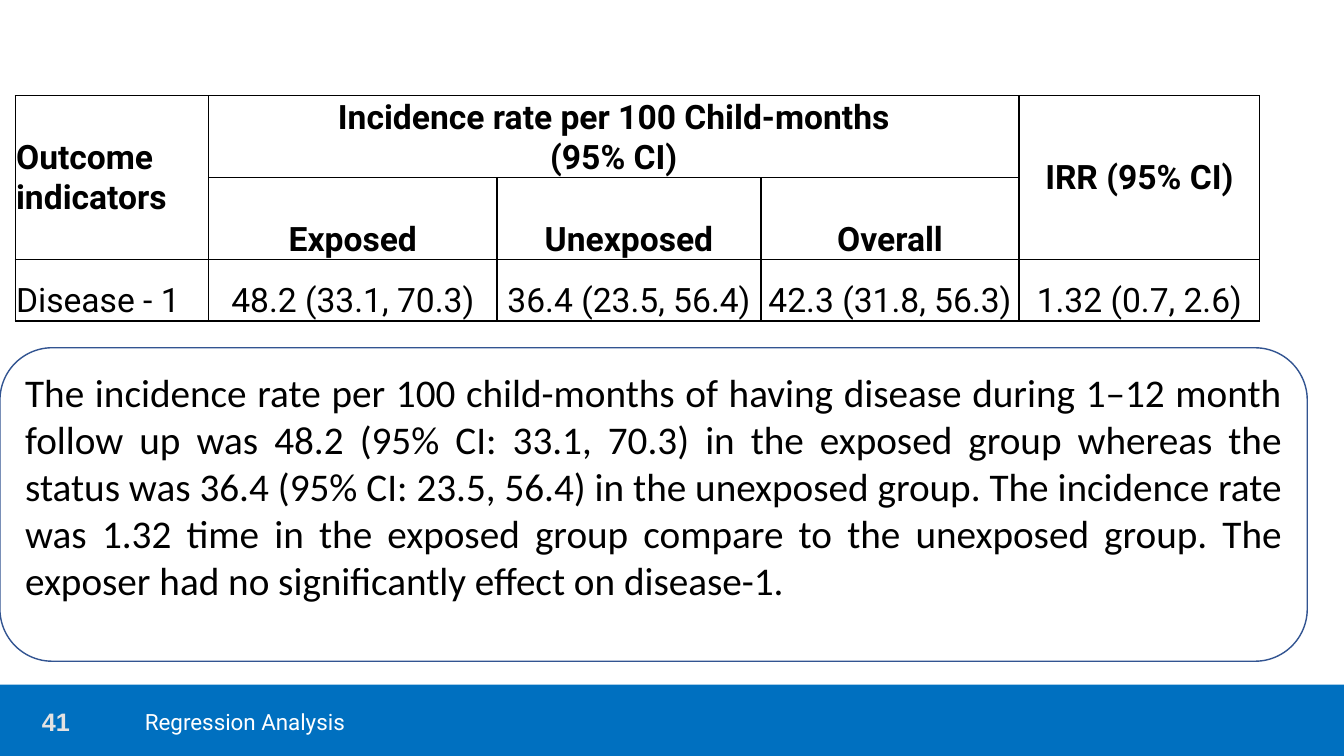
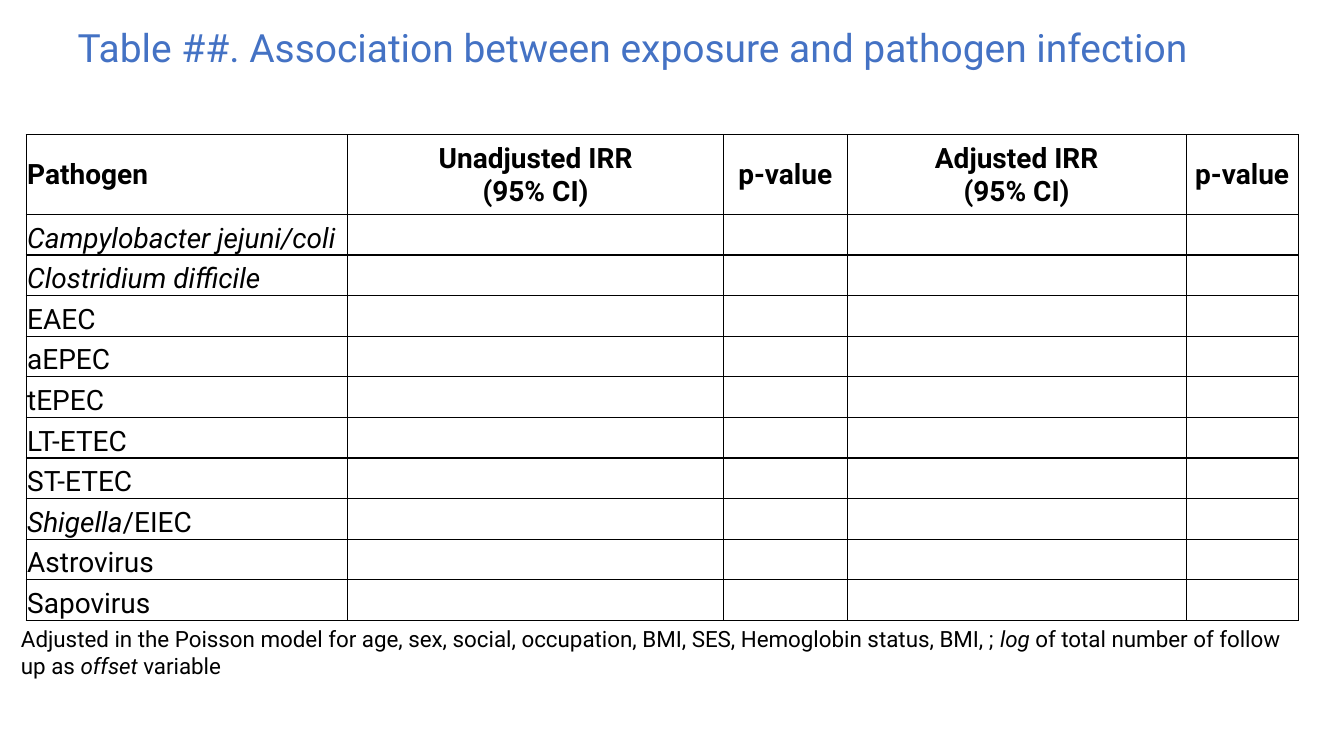
from lxml.etree import SubElement
from pptx import Presentation
from pptx.dml.color import RGBColor
from pptx.enum.shapes import MSO_SHAPE
from pptx.enum.text import MSO_ANCHOR, PP_ALIGN
from pptx.oxml import parse_xml
from pptx.oxml.ns import nsdecls, qn
from pptx.util import Pt

BLACK = RGBColor(0, 0, 0)
WHITE = RGBColor(0xFF, 0xFF, 0xFF)
BAND_BLUE = RGBColor(0x00, 0x70, 0xC0)
TITLE_BLUE = RGBColor(0x44, 0x72, 0xC4)
OUTLINE_BLUE = RGBColor(0x32, 0x54, 0x91)
PALE_GREY = RGBColor(0xE2, 0xE2, 0xE2)

FONT = "Roboto"
SLIDE_W, SLIDE_H = 960, 540
BAND_H = 51

INCIDENCE_ROWS = [
    ["Outcome indicators", "Incidence rate per 100 Child-months\n(95% CI)",
     "", "", "IRR (95% CI)"],
    ["", "Exposed", "Unexposed", "Overall", ""],
    ["Disease - 1", "48.2 (33.1, 70.3)", "36.4 (23.5, 56.4)",
     "42.3 (31.8, 56.3)", "1.32 (0.7, 2.6)"],
]
INCIDENCE_NOTE = (
    "The incidence rate per 100 child-months of having disease during 1–12 "
    "month follow up was 48.2 (95% CI: 33.1, 70.3) in the exposed group "
    "whereas the status was 36.4 (95% CI: 23.5, 56.4) in the unexposed group. "
    "The incidence rate was 1.32 time in the exposed group compare to the "
    "unexposed group. The exposer had no significantly effect on disease-1."
)
PATHOGEN_HEADER = ["Pathogen", "Unadjusted IRR\n(95% CI)", "p-value",
                   "Adjusted IRR\n(95% CI)", "p-value"]
PATHOGENS = ["Campylobacter jejuni/coli", "Clostridium difficile", "EAEC",
             "aEPEC", "tEPEC", "LT-ETEC", "ST-ETEC", "Shigella/EIEC",
             "Astrovirus", "Sapovirus"]
ADJUSTMENT_RUNS = [
    ("Adjusted in the Poisson model for age, sex, social, occupation, BMI, "
     "SES, Hemoglobin status, BMI, ; ", False),
    ("log", True),
    (" of total number of follow up as ", False),
    ("offset ", True),
    ("variable", False),
]


def format_text(tf, size, color=BLACK, bold=False, align=PP_ALIGN.LEFT,
                font=FONT, spacing=None):
    for p in tf.paragraphs:
        p.alignment = align
        if spacing:
            p.line_spacing = spacing
        for r in p.runs:
            r.font.name = font
            r.font.size = Pt(size)
            r.font.bold = bold
            r.font.color.rgb = color


def set_runs(tf, runs):
    p = tf.paragraphs[0]
    p.text = ""
    for text, italic in runs:
        r = p.add_run()
        r.text = text
        r.font.italic = italic


def add_text(slide, box, runs, size, color=BLACK, bold=False, inset=True,
             anchor=MSO_ANCHOR.TOP):
    tf = slide.shapes.add_textbox(*map(Pt, box)).text_frame
    tf.word_wrap = True
    tf.vertical_anchor = anchor
    if not inset:
        tf.margin_left = tf.margin_right = 0
        tf.margin_top = tf.margin_bottom = 0
    set_runs(tf, runs)
    format_text(tf, size, color, bold)


def add_footer(slide, box, number, label):
    x, y, w, h = box
    band = slide.shapes.add_shape(MSO_SHAPE.RECTANGLE, *map(Pt, box))
    band.shadow.inherit = False
    band.fill.solid()
    band.fill.fore_color.rgb = BAND_BLUE
    band.line.fill.background()
    for left, width, text, size, color, bold, font in (
            (30, 73, number, 18, PALE_GREY, True, "Arial"),
            (103.5, 619, label, 16, WHITE, False, FONT)):
        sp = slide.shapes.add_textbox(Pt(x + left), Pt(y + 13.5), Pt(width), Pt(25.5))
        tf = sp.text_frame
        tf.word_wrap = True
        tf.vertical_anchor = MSO_ANCHOR.MIDDLE
        tf.margin_left = tf.margin_right = tf.margin_top = tf.margin_bottom = 0
        tf.text = text
        format_text(tf, size, color, bold, font=font)


def style_cell(cell):
    cell.fill.background()
    cell.margin_left = cell.margin_right = cell.margin_top = Pt(0.7)
    cell.margin_bottom = 0
    tcPr = cell._tc.get_or_add_tcPr()
    for i, side in enumerate(("lnL", "lnR", "lnT", "lnB")):
        ln = parse_xml(f'<a:{side} {nsdecls("a")} w="{Pt(1)}"/>')
        fill = SubElement(ln, qn("a:solidFill"))
        SubElement(fill, qn("a:srgbClr"), val=str(BLACK))
        tcPr.insert(i, ln)


def add_grid(slide, box, rows, col_widths, row_heights, size, header_rows,
             spacing=None):
    table = slide.shapes.add_table(len(rows), len(col_widths),
                                   *map(Pt, box)).table
    table.first_row = table.horz_banding = False
    for col, width in zip(table.columns, col_widths):
        col.width = Pt(width)
    for i, (row, height) in enumerate(zip(table.rows, row_heights)):
        row.height = Pt(height)
        is_header = i < header_rows
        for j, cell in enumerate(row.cells):
            style_cell(cell)
            cell.vertical_anchor = MSO_ANCHOR.MIDDLE if is_header else MSO_ANCHOR.BOTTOM
            if rows[i][j]:
                cell.text_frame.text = rows[i][j]
                format_text(cell.text_frame, size, bold=is_header,
                            align=PP_ALIGN.CENTER if j else PP_ALIGN.LEFT,
                            spacing=None if is_header else spacing)
    return table


def add_note_box(slide, box, text):
    sp = slide.shapes.add_shape(MSO_SHAPE.ROUNDED_RECTANGLE, *map(Pt, box))
    sp.shadow.inherit = False
    sp.fill.background()
    sp.line.color.rgb = OUTLINE_BLUE
    sp.line.width = Pt(1)
    tf = sp.text_frame
    tf.word_wrap = True
    tf.vertical_anchor = MSO_ANCHOR.TOP
    tf.text = text
    format_text(tf, 28, align=PP_ALIGN.JUSTIFY, font="Calibri")


def set_title(slide, box, text):
    sp = slide.shapes.title
    sp.left, sp.top, sp.width, sp.height = map(Pt, box)
    tf = sp.text_frame
    tf.text = text
    tf.word_wrap = True
    tf.vertical_anchor = MSO_ANCHOR.TOP
    format_text(tf, 27.8, TITLE_BLUE, spacing=0.9)


def build_incidence_slide(prs):
    slide = prs.slides.add_slide(prs.slide_layouts[6])
    add_footer(slide, (0, SLIDE_H - BAND_H, SLIDE_W, BAND_H), "41",
               "Regression Analysis")
    table = add_grid(slide, (10.8, 68.4, 889, 160.8), INCIDENCE_ROWS,
                     (138.2, 206, 188.6, 184.3, 172), (58.5, 58.5, 43.8),
                     24, 2, 1.5)
    for j in range(1, 4):
        for i in range(2):
            table.cell(i, j).vertical_anchor = MSO_ANCHOR.BOTTOM
    for first, last in (((0, 0), (1, 0)), ((0, 1), (0, 3)), ((0, 4), (1, 4))):
        table.cell(*first).merge(table.cell(*last))
    add_note_box(slide, (0, 248.4, 933.8, 223.9), INCIDENCE_NOTE)


def build_pathogen_slide(prs):
    slide = prs.slides.add_slide(prs.slide_layouts[5])
    set_title(slide, (48.2, 17.3, 836.6, 45.4),
              "Table ##. Association between exposure and pathogen infection")
    rows = [PATHOGEN_HEADER] + [[name, "", "", "", ""] for name in PATHOGENS]
    table = add_grid(slide, (18.7, 96.2, 908.6, 347), rows,
                     (229.7, 268.4, 88.3, 242.2, 80),
                     [57] + [29] * len(PATHOGENS), 20, 1)
    for i in (1, 2):
        table.cell(i, 0).text_frame.paragraphs[0].runs[0].font.italic = True
    tf = table.cell(8, 0).text_frame
    set_runs(tf, [("Shigella", True), ("/EIEC", False)])
    format_text(tf, 20)
    add_text(slide, (7.9, 442.8, 926.6, 46), ADJUSTMENT_RUNS, 16)


def main():
    prs = Presentation()
    prs.slide_width, prs.slide_height = Pt(SLIDE_W), Pt(SLIDE_H)
    build_incidence_slide(prs)
    build_pathogen_slide(prs)
    prs.save("out.pptx")


if __name__ == "__main__":
    main()
